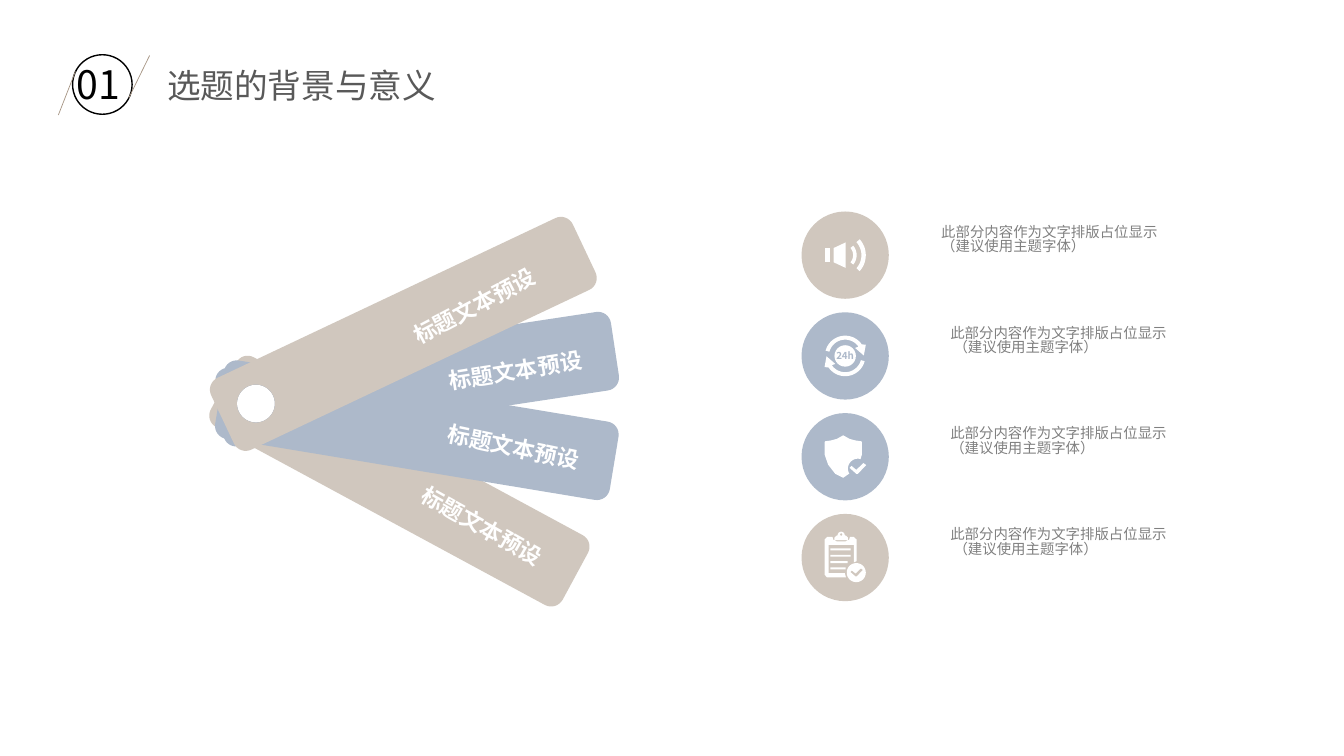
from dataclasses import dataclass
from math import cos, radians, sin

from lxml import etree
from pptx import Presentation
from pptx import util as u
from pptx.dml.color import RGBColor
from pptx.enum import shapes, text
from pptx.oxml.ns import qn


@dataclass(frozen=True)
class Theme:
    sand: str = "D0C7BE"
    blue: str = "ADB9CA"
    white: str = "FFFFFF"
    black: str = "000000"
    dark: str = "595959"
    gray: str = "808080"
    slash: str = "A69584"
    face: str = "Noto Sans CJK SC"
    head: str = "Arial"
    num: float = 28
    title: float = 24
    label: float = 15.9
    note: float = 10.3
    tiny: float = 7


def arc(x, y, r, a, b, n=24):
    turns = [radians(a + (b - a) * i / n) for i in range(n + 1)]
    return [(x + r * cos(t), y + r * sin(t)) for t in turns]


def disc(x, y, r):
    return arc(x, y, r, 0, 360, 48)


def band(x, y, low, high, a, b):
    return arc(x, y, high, a, b) + arc(x, y, low, b, a)


def box(x, y, w, h):
    return [(x, y), (x + w, y), (x + w, y + h), (x, y + h)]


def round_box(w, h, r):
    x, y = w / 2 - r, h / 2 - r
    return (arc(x, y, r, 0, 90, 8) + arc(-x, y, r, 90, 180, 8)
            + arc(-x, -y, r, 180, 270, 8) + arc(x, -y, r, 270, 360, 8))


def tick(x, y, k=1):
    base = [(-.21, -.02), (-.16, -.07), (-.04, .03), (.14, -.14),
            (.21, -.09), (0, .13), (-.04, .13)]
    return [(x + k * a, y + k * b) for a, b in base]


class Deck:
    def __init__(self, theme):
        self.t = theme
        self.prs = Presentation()
        self.prs.slide_width, self.prs.slide_height = u.Cm(33.87), u.Cm(19.05)
        self.page = self.prs.slides.add_slide(self.prs.slide_layouts[5])
        self.art = self.page.shapes

    def paint(self, shape, fill=None, line=None, width=1):
        shape.shadow.inherit = False
        if fill:
            shape.fill.solid()
            shape.fill.fore_color.rgb = RGBColor.from_string(fill)
        else:
            shape.fill.background()
        if line:
            shape.line.color.rgb = RGBColor.from_string(line)
            shape.line.width = u.Pt(width)
        else:
            shape.line.fill.background()

    def oval(self, x, y, r, fill=None, line=None):
        shape = self.art.add_shape(shapes.MSO_SHAPE.OVAL, u.Cm(x - r),
                                   u.Cm(y - r), u.Cm(2 * r), u.Cm(2 * r))
        self.paint(shape, fill, line)
        return shape

    def free(self, x, y, fill, *loops, turn=0):
        pen = None
        for loop in loops:
            pts = [(u.Cm(x + a), u.Cm(y + b)) for a, b in loop]
            if pen is None:
                pen = self.art.build_freeform(*pts[0], scale=1.0)
            else:
                pen.move_to(*pts[0])
            pen.add_line_segments(pts[1:], close=True)
        shape = pen.convert_to_shape()
        shape.rotation = turn
        self.paint(shape, fill)

    def line(self, a, b, tint, width):
        rule = self.art.add_connector(shapes.MSO_CONNECTOR.STRAIGHT,
                                      *[u.Cm(v) for v in a + b])
        rule.line.color.rgb = RGBColor.from_string(tint)
        rule.line.width = u.Pt(width)
        etree.SubElement(rule._element.spPr, qn("a:effectLst"))

    def words(self, shape, lines, size, tint, face=None, bold=False,
              align=text.PP_ALIGN.LEFT, pad=(.25, 0, .25, 0), wrap=True,
              anchor=text.MSO_ANCHOR.MIDDLE, space=None):
        frame = shape.text_frame
        frame.auto_size = text.MSO_AUTO_SIZE.NONE
        frame.word_wrap = wrap
        frame.vertical_anchor = anchor
        (frame.margin_left, frame.margin_top,
         frame.margin_right, frame.margin_bottom) = [u.Cm(v) for v in pad]
        para = frame.paragraphs[0]
        para.alignment = align
        if space:
            para.line_spacing = space
        for i, part in enumerate(lines):
            if i:
                para.add_line_break()
            run = para.add_run()
            run.text = part
            font = run.font
            font.size, font.bold = u.Pt(size), bold
            font.color.rgb = RGBColor.from_string(tint)
            font.name = face or self.t.face
            ea = etree.SubElement(run._r.get_or_add_rPr(), qn("a:ea"))
            ea.set("typeface", self.t.face)

    def label(self, x, y, w, h, lines, size, tint, turn=0, **style):
        shape = self.art.add_textbox(u.Cm(x), u.Cm(y), u.Cm(w), u.Cm(h))
        shape.rotation = turn
        self.words(shape, lines, size, tint, **style)

    def title(self, x, y, w, h, line):
        shape = self.art.title
        shape.left, shape.top = u.Cm(x), u.Cm(y)
        shape.width, shape.height = u.Cm(w), u.Cm(h)
        self.words(shape, [line], self.t.title, self.t.dark, self.t.head)

    def blade(self, x, y, turn, fill):
        reach, a = 4.11, radians(turn)
        self.free(x + reach * cos(a), y + reach * sin(a), fill,
                  round_box(10.08, 2, .33), disc(-reach, 0, .48), turn=turn)

    def sound(self, x, y):
        cone = [(-.29, -.18), (.01, -.32), (.01, .32), (-.29, .18)]
        for part in (cone, box(-.5, -.18, .13, .36),
                     band(-.08, 0, .28, .37, -40, 40),
                     band(-.08, 0, .49, .6, -42, 42)):
            self.free(x, y, self.t.white, part)

    def cycle(self, x, y):
        top = (arc(0, 0, .51, 195, 325) + [(.52, -.28), (.47, -.01), (.25, -.2)]
               + arc(0, 0, .41, 325, 195))
        self.free(x, y, self.t.white, top, [(-a, -b) for a, b in top])
        core = self.oval(x, y, .27, self.t.white)
        self.words(core, ["24h"], self.t.tiny, self.t.blue, bold=True,
                   align=text.PP_ALIGN.CENTER, pad=(0, 0, 0, 0), wrap=False)

    def shield(self, x, y):
        edge = ([(-.05, -.54), (.11, -.45), (.26, -.41), (.4, -.39), (.42, -.37),
                 (.42, -.05)] + arc(.32, .3, .25, 286, 150)
                + [(-.05, .53), (-.25, .43), (-.43, .2), (-.52, -.06),
                   (-.52, -.37), (-.5, -.39), (-.36, -.41), (-.21, -.45)])
        self.free(x, y, self.t.white, edge)
        self.free(x, y, self.t.white, tick(.32, .3))

    def board(self, x, y):
        sheet = [(.02, .5), (-.46, .5), (-.52, .43), (-.52, -.45), (-.45, -.52),
                 (-.32, -.52), (-.3, -.45), (-.22, -.41), (.02, -.41),
                 (.1, -.45), (.12, -.52), (.22, -.52), (.29, -.45), (.29, .09),
                 (.22, .12), (.22, -.32), (-.42, -.32), (-.42, .39), (-.01, .39)]
        clip = ([(-.27, -.44), (-.27, -.5), (-.22, -.55)]
                + arc(-.1, -.56, .09, 180, 360)
                + [(.02, -.55), (.07, -.5), (.07, -.44)])
        rows = [box(-.37, -.23 + .16 * i, w, .05)
                for i, w in enumerate((.51, .51, .43, .38))]
        self.free(x, y, self.t.white, sheet, clip, disc(-.1, -.58, .03), *rows,
                  disc(.28, .38, .24), tick(.29, .38, .75))


def main():
    t = Theme()
    deck = Deck(t)
    for turn, fill in ((28.4, t.sand), (9.4, t.blue), (-8.6, t.blue), (-25.3, t.sand)):
        deck.blade(6.45, 10.17, turn, fill)

    w, h = 3.5, .86
    for x, y, turn in ((12.12, 7.62, -27.7), (13.18, 9.3, -9.1),
                       (13.13, 11.3, 12), (12.32, 13.34, 29.4)):
        deck.label(x - w / 2, y - h / 2, w, h, ["标题文本预设"], t.label, t.white,
                   turn, bold=True, align=text.PP_ALIGN.RIGHT, wrap=False)

    items = ((deck.sound, t.sand, 22.4, ""), (deck.cycle, t.blue, 22.63, " "),
             (deck.shield, t.blue, 22.63, ""), (deck.board, t.sand, 22.63, " "))
    for i, (icon, fill, left, lead) in enumerate(items):
        x, y = 21.3, 6.43 + 2.54 * i
        deck.oval(x, y, 1.1, fill)
        icon(x, y)
        deck.label(left, y - .92, 7.44, 1.55,
                   ["此部分内容作为文字排版占位显示", lead + "（建议使用主题字体）"],
                   t.note, t.gray, pad=(1.32, .18, .33, .18),
                   anchor=text.MSO_ANCHOR.TOP, space=.84)

    deck.oval(2.58, 2.13, .75, line=t.black)
    deck.line((1.9, 1.8), (1.47, 2.9), t.slash, .5)
    deck.line((3.77, 1.4), (3.25, 2.46), t.slash, .5)
    deck.label(1.68, 1.4, 2.62, 1.45, ["01"], t.num, t.black)
    deck.title(3.96, 1.5, 8.43, 1.27, "选题的背景与意义")
    deck.prs.save("out.pptx")


if __name__ == "__main__":
    main()
